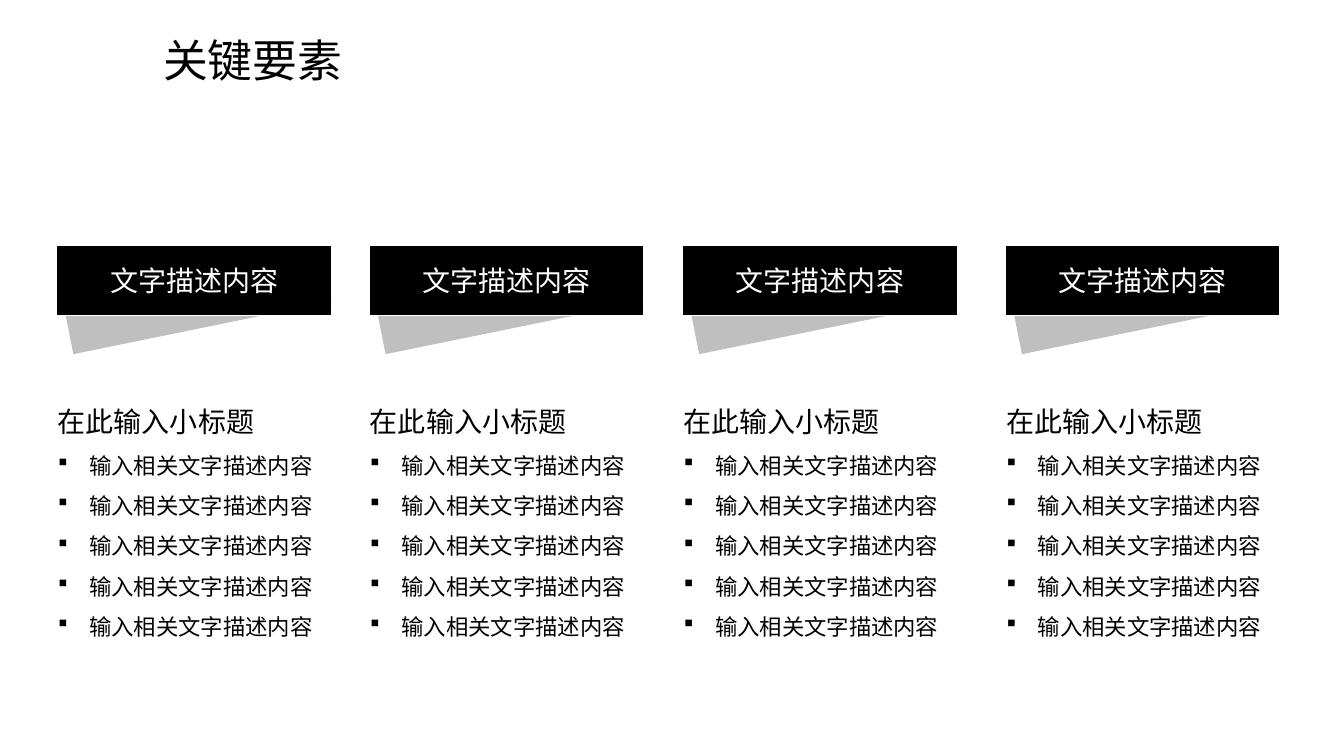
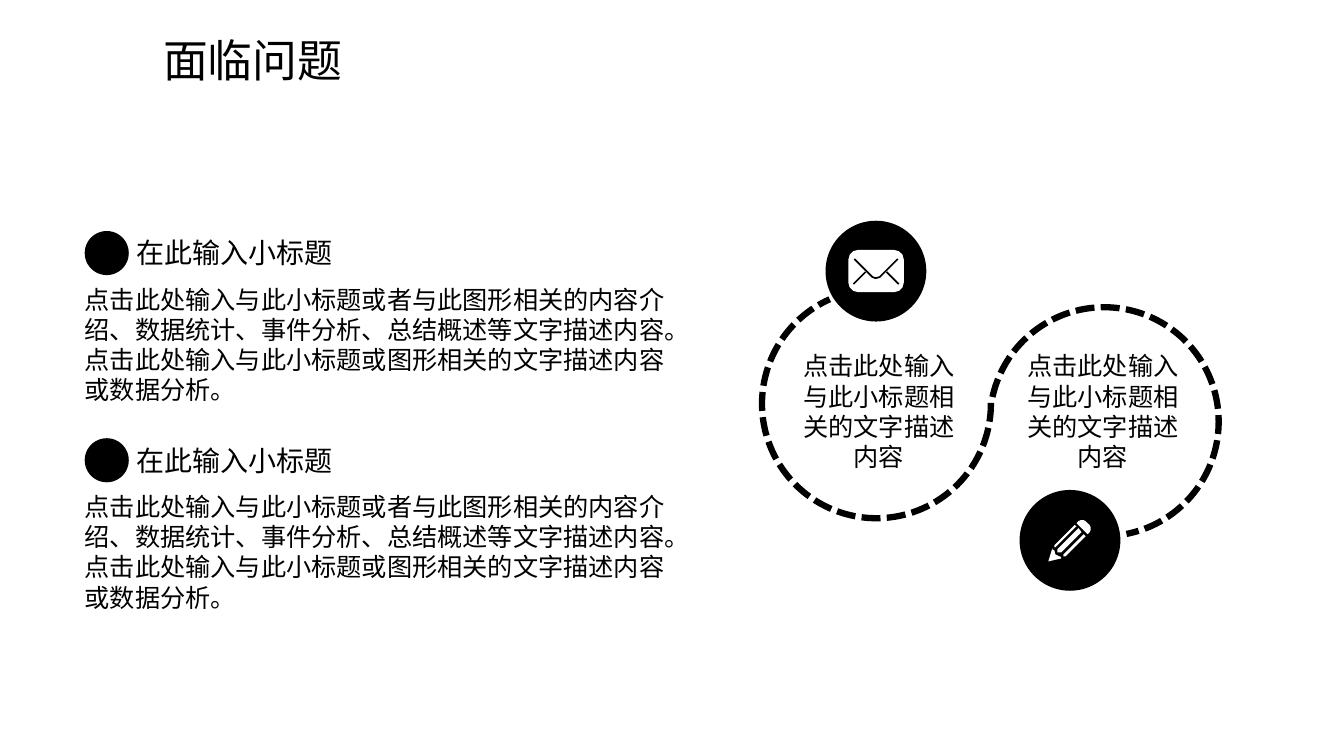
from lxml.etree import SubElement
from pptx import Presentation
from pptx.dml.color import RGBColor
from pptx.enum.dml import MSO_LINE
from pptx.enum.shapes import MSO_CONNECTOR, MSO_SHAPE
from pptx.enum.text import MSO_ANCHOR, PP_ALIGN
from pptx.oxml.ns import qn
from pptx.util import Pt

BLACK = RGBColor(0x00, 0x00, 0x00)
WHITE = RGBColor(0xFF, 0xFF, 0xFF)
GRAY = RGBColor(0xBF, 0xBF, 0xBF)
FONT = "Noto Sans CJK SC"
LINE_HEIGHT = 1.2

SUBTITLE = "在此输入小标题"
BANNER = "文字描述内容"
BULLET = "输入相关文字描述内容"
PROBLEM = ("点击此处输入与此小标题或者与此图形相关的内容介绍、数据统计、事件分析、总结概述等文字描述内容。"
           "点击此处输入与此小标题或图形相关的文字描述内容或数据分析。")
LOOP_TEXT = "点击此处输入与此小标题相关的文字描述内容"

COLUMN_LEFTS = (40.5, 263.5, 487.5, 718)
WEDGE = ((2, 203), (198, 215), (12, 253))
PROBLEM_TOPS = (165, 313)

ICON_UNIT = 0.72
ENVELOPE_FLAP = ((6, 9), (24, 27), (27, 28), (31, 27), (49, 9))
ENVELOPE_FOLDS = (((17, 22), (5, 34)), ((38, 22), (50, 34)))
PENCIL = (
    ((41, 13), (39, 15), (28, 4), (30, 2), (32, 1), (35, 1), (37, 2),
     (41, 6), (42, 8), (42, 11)),
    ((15, 35), (15, 37), (17, 37), (37, 17), (35, 15)),
    ((6, 26), (6, 28), (7, 28), (28, 7), (26, 6)),
    ((30, 9), (9, 30), (9, 33), (13, 33), (33, 13)),
    ((13, 39), (12, 37), (11, 37), (7, 35), (6, 31), (4, 30), (4, 29), (0, 42)),
)


def paint(shape, fill=None, line=None, weight=1):
    """Set fill and outline; None means that there is none."""
    shape.shadow.inherit = False
    if fill is None:
        shape.fill.background()
    else:
        shape.fill.solid()
        shape.fill.fore_color.rgb = fill
    if line is None:
        shape.line.fill.background()
    else:
        shape.line.color.rgb = line
        shape.line.width = Pt(weight)


def add_figure(page, kind, left, top, width, height, **look):
    shape = page.shapes.add_shape(kind, Pt(left), Pt(top), Pt(width), Pt(height))
    paint(shape, **look)
    return shape


def add_outline(page, contours, left, top, unit=1, closed=True, **look):
    """Draw contours given in units of so many points from left and top."""
    first, *others = contours
    builder = page.shapes.build_freeform(*first[0], scale=Pt(unit))
    builder.add_line_segments(first[1:], close=closed)
    for contour in others:
        builder.move_to(*contour[0])
        builder.add_line_segments(contour[1:], close=closed)
    paint(builder.convert_to_shape(Pt(left), Pt(top)), **look)


def write(paragraph, text, size, color=BLACK, align=PP_ALIGN.LEFT, spacing=None):
    paragraph.alignment = align
    if spacing:
        paragraph.line_spacing = Pt(round(size * LINE_HEIGHT * spacing, 2))
    span = paragraph.add_run()
    span.text = text
    for name, value in {"name": FONT, "size": Pt(size), "bold": False}.items():
        setattr(span.font, name, value)
    span.font.color.rgb = color
    SubElement(span.font._element, qn("a:ea"), typeface=FONT)


def add_bullet(paragraph, indent=22.5):
    properties = paragraph._p.get_or_add_pPr()
    properties.set("marL", str(Pt(indent)))
    properties.set("indent", str(-Pt(indent)))
    SubElement(properties, qn("a:buFont"), typeface="Wingdings")
    SubElement(properties, qn("a:buChar"), char="§")


def add_text(page, text, left, top, width, height, size,
             anchor=MSO_ANCHOR.TOP, **style):
    box = page.shapes.add_textbox(Pt(left), Pt(top), Pt(width), Pt(height))
    frame = box.text_frame
    frame.word_wrap = True
    frame.vertical_anchor = anchor
    write(frame.paragraphs[0], text, size, **style)
    return frame


def add_page(deck, title):
    page = deck.slides.add_slide(deck.slide_layouts[6])
    add_text(page, title, 109.5, 19.5, 560, 46, 32, anchor=MSO_ANCHOR.MIDDLE)
    return page


def add_column(page, left):
    add_outline(page, [WEDGE], left, 0, fill=GRAY)
    banner = add_figure(page, MSO_SHAPE.RECTANGLE, left, 175, 196.5, 50.5,
                        fill=BLACK, line=WHITE)
    banner.text_frame.vertical_anchor = MSO_ANCHOR.MIDDLE
    write(banner.text_frame.paragraphs[0], BANNER, 20, WHITE, PP_ALIGN.CENTER)
    frame = add_text(page, SUBTITLE, left - 6.3, 273.6, 212.5, 189.5, 20, spacing=1.5)
    for _ in range(5):
        paragraph = frame.add_paragraph()
        add_bullet(paragraph)
        write(paragraph, BULLET, 16, spacing=1.5)


def add_problem(page, top):
    add_figure(page, MSO_SHAPE.OVAL, 60.5, top, 31.5, 31.5, fill=BLACK)
    add_text(page, SUBTITLE, 90.5, top, 356.5, 31.5, 20, spacing=1)
    add_text(page, PROBLEM, 53.5, top + 34.4, 438, 94.5, 18, spacing=1)


def add_loop(page, left, top, rotation, text_left):
    """Draw a dashed open ring with its caption."""
    arc = add_figure(page, MSO_SHAPE.ARC, left, top, 163.5, 163.5,
                     line=BLACK, weight=4.5)
    arc.adjustments[0], arc.adjustments[1] = 68.18, 0
    arc.rotation = rotation
    arc.line.dash_style = MSO_LINE.SQUARE_DOT
    add_text(page, LOOP_TEXT, text_left, 247, 129.6, 94.5, 18,
             align=PP_ALIGN.CENTER, spacing=1)


def add_disc(page, left, top):
    add_figure(page, MSO_SHAPE.OVAL, left, top, 72, 72, fill=BLACK)


def add_envelope(page, left, top):
    body = add_figure(page, MSO_SHAPE.ROUNDED_RECTANGLE, left, top, 39.6, 30.2,
                      fill=WHITE)
    body.adjustments[0] = 0.23
    add_outline(page, [ENVELOPE_FLAP], left, top, ICON_UNIT, closed=False,
                line=BLACK, weight=1.2)
    for fold in ENVELOPE_FOLDS:
        ends = [Pt(edge + ICON_UNIT * step)
                for point in fold for edge, step in zip((left, top), point)]
        line = page.shapes.add_connector(MSO_CONNECTOR.STRAIGHT, *ends)
        line.line.color.rgb = BLACK
        line.line.width = Pt(1.2)
        SubElement(line._element.spPr, qn("a:effectLst"))


def build_key_elements(deck):
    page = add_page(deck, "关键要素")
    for left in COLUMN_LEFTS:
        add_column(page, left)


def build_problems(deck):
    page = add_page(deck, "面临问题")
    add_loop(page, 707, 219.5, 78.8, 723)
    add_loop(page, 544.3, 206.6, 245.9, 563)
    add_disc(page, 589.7, 157.7)
    add_envelope(page, 606, 178.5)
    add_disc(page, 728.3, 350)
    add_outline(page, PENCIL, 748.8, 370.8, ICON_UNIT, fill=WHITE)
    for top in PROBLEM_TOPS:
        add_problem(page, top)


def main():
    deck = Presentation()
    deck.slide_width, deck.slide_height = Pt(960), Pt(540)
    build_key_elements(deck)
    build_problems(deck)
    deck.save("out.pptx")


if __name__ == "__main__":
    main()
